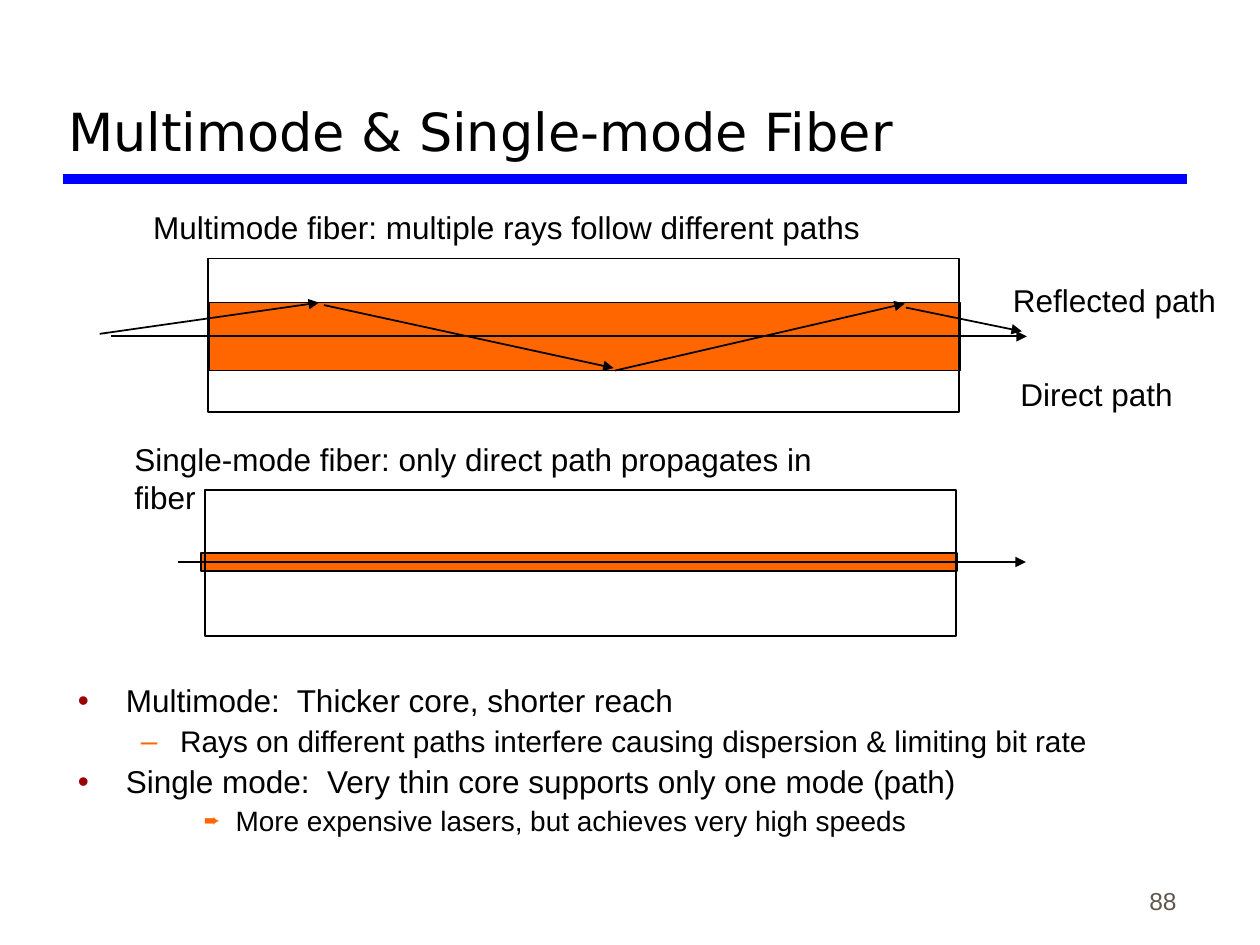
from dataclasses import dataclass
from typing import Optional

import pptx
import pptx.dml.color
import pptx.enum.shapes
import pptx.enum.text
import pptx.oxml.ns
import pptx.util
from lxml import etree

Cm, Pt = pptx.util.Cm, pptx.util.Pt
ALIGN = pptx.enum.text.PP_ALIGN
ANCHOR = pptx.enum.text.MSO_ANCHOR

COLORS = {"text": "000000", "rule": "0000FF", "core": "FF6600", "number": "5E574E",
          "bullet": "990000", "sub_bullet": "FF6600"}


@dataclass
class Box:
    left: float
    top: float
    width: float
    height: float

    def lengths(self) -> list:
        return [Cm(v) for v in (self.left, self.top, self.width, self.height)]


@dataclass
class Label:
    text: str
    box: Box


@dataclass
class Layer:
    """One rectangle of a fiber; a cladding has no fill."""
    box: Box
    fill: Optional[str] = None


@dataclass
class Ray:
    x1: float
    y1: float
    x2: float
    y2: float


@dataclass
class Bullet:
    text: str
    level: int
    size: float
    space: float
    margin: float
    hang: float
    char: str
    color: str
    percent: int = 100


LABELS = [
    Label("Multimode fiber: multiple rays follow different paths", Box(2.84, 4.06, 14.76, 1.02)),
    Label("Single-mode fiber: only direct path propagates in fiber", Box(2.46, 8.74, 15.57, 1.02)),
    Label("Direct path", Box(20.32, 7.44, 3.58, 1.02)),
    Label("Reflected path", Box(20.17, 5.54, 4.6, 1.02)),
]
LAYERS = [
    Layer(Box(4.22, 6.1, 15.14, 1.37), "core"),
    Layer(Box(4.19, 5.21, 15.14, 3.1)),
    Layer(Box(4.06, 11.15, 15.24, 0.36), "core"),
    Layer(Box(4.14, 9.88, 15.14, 2.95)),
]
RAYS = [
    Ray(2.01, 6.73, 6.43, 6.1),
    Ray(6.53, 6.15, 12.37, 7.42),
    Ray(12.4, 7.47, 18.24, 6.12),
    Ray(18.26, 6.2, 20.6, 6.68),
    Ray(2.24, 6.78, 20.7, 6.78),
    Ray(3.58, 11.33, 20.68, 11.33),
]
TOP_LEVEL = dict(level=0, size=18, space=4.5, margin=0.97, hang=0.97, char="•", color="bullet")
BULLETS = [
    Bullet("Multimode:  Thicker core, shorter reach", **TOP_LEVEL),
    Bullet("Rays on different paths interfere causing dispersion & limiting bit rate",
           1, 17, 4.2, 2.06, 0.79, "–", "sub_bullet"),
    Bullet("Single mode:  Very thin core supports only one mode (path)", **TOP_LEVEL),
    Bullet("More expensive lasers, but achieves very high speeds",
           2, 16, 4, 3.18, 0.64, "➨", "sub_bullet", 70),
]


def rgb(name: str) -> pptx.dml.color.RGBColor:
    return pptx.dml.color.RGBColor.from_string(COLORS[name])


def add_child(parent, tag: str, **attrs: str):
    return etree.SubElement(parent, pptx.oxml.ns.qn(tag), attrs)


def write(p, text: str, *, size: float = 18, font: str = "Arial", color: str = "text",
          align=ALIGN.LEFT) -> None:
    p.alignment = align
    r = p.add_run()
    r.text = text
    r.font.size, r.font.name = Pt(size), font
    r.font.color.rgb = rgb(color)


def add_frame(s, box: Box, *, wrap: bool = True, anchor=ANCHOR.TOP):
    tf = s.shapes.add_textbox(*box.lengths()).text_frame
    tf.word_wrap, tf.vertical_anchor = wrap, anchor
    return tf


def add_title(s, text: str, box: Box) -> None:
    sp = s.shapes.title
    sp.left, sp.top, sp.width, sp.height = box.lengths()
    tf = sp.text_frame
    tf.auto_size = pptx.enum.text.MSO_AUTO_SIZE.NONE
    tf.vertical_anchor = ANCHOR.BOTTOM
    write(tf.paragraphs[0], text, size=30, font="DejaVu Sans")


def add_layer(s, layer: Layer) -> None:
    sp = s.shapes.add_shape(pptx.enum.shapes.MSO_SHAPE.RECTANGLE, *layer.box.lengths())
    sp.shadow.inherit = False
    if layer.fill:
        sp.fill.solid()
        sp.fill.fore_color.rgb = rgb(layer.fill)
    else:
        sp.fill.background()
    sp.line.color.rgb = rgb("text")
    sp.line.width = Pt(1)


def add_line(s, ray: Ray, *, color: str = "text", width: float = 1, arrow: bool = True) -> None:
    ends = [Cm(v) for v in (ray.x1, ray.y1, ray.x2, ray.y2)]
    line = s.shapes.add_connector(pptx.enum.shapes.MSO_CONNECTOR.STRAIGHT, *ends)
    line.line.color.rgb = rgb(color)
    line.line.width = Pt(width)
    if arrow:
        add_child(line.line._get_or_add_ln(), "a:tailEnd", type="triangle")
    add_child(line._element.spPr, "a:effectLst")


def add_bullet(p, b: Bullet) -> None:
    p.level, p.line_spacing, p.space_before = b.level, 0.9, Pt(b.space)
    write(p, b.text, size=b.size)
    pPr = p._p.get_or_add_pPr()
    pPr.set("marL", str(Cm(b.margin)))
    pPr.set("indent", str(-Cm(b.hang)))
    add_child(add_child(pPr, "a:buClr"), "a:srgbClr", val=COLORS[b.color])
    add_child(pPr, "a:buSzPct", val=str(b.percent * 1000))
    add_child(pPr, "a:buFont", typeface="Arial")
    add_child(pPr, "a:buChar", char=b.char)


def main() -> None:
    prs = pptx.Presentation()
    prs.slide_width, prs.slide_height = Cm(25.4), Cm(19.05)
    s = prs.slides.add_slide(prs.slide_layouts[5])

    add_title(s, "Multimode & Single-mode Fiber", Box(1.12, 0.43, 22.78, 2.97))
    add_line(s, Ray(1.27, 3.61, 23.93, 3.61), color="rule", width=6, arrow=False)
    for layer in LAYERS:
        add_layer(s, layer)
    for ray in RAYS:
        add_line(s, ray)
    for label in LABELS:
        write(add_frame(s, label.box, wrap=False).paragraphs[0], label.text)

    tf = add_frame(s, Box(1.32, 13.69, 22.86, 3.89))
    for i, bullet in enumerate(BULLETS):
        add_bullet(tf.add_paragraph() if i else tf.paragraphs[0], bullet)

    tf = add_frame(s, Box(18.69, 17.3, 5.28, 1.27), anchor=ANCHOR.BOTTOM)
    write(tf.paragraphs[0], "88", size=14, color="number", align=ALIGN.RIGHT)
    prs.save("out.pptx")


if __name__ == "__main__":
    main()
